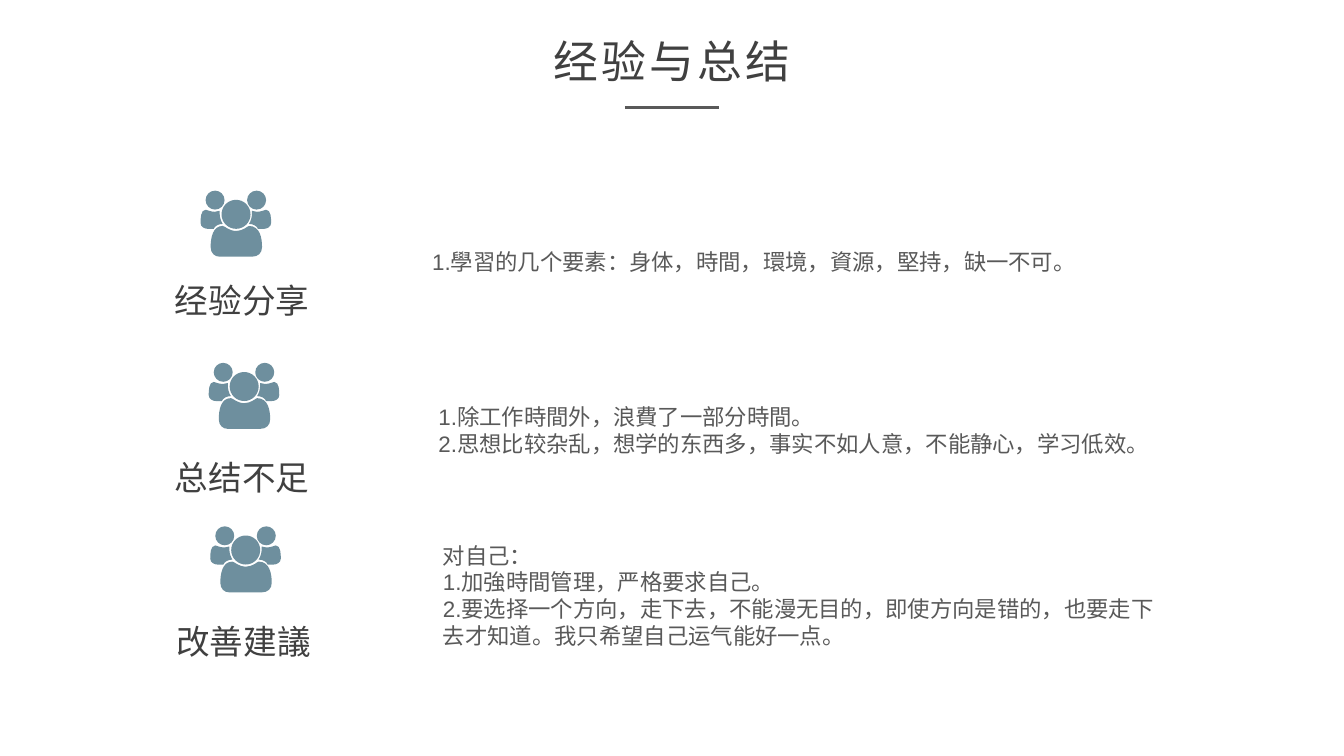
from dataclasses import dataclass

import pptx
import pptx.dml.color
import pptx.enum.shapes
import pptx.enum.text
import pptx.oxml.ns
import pptx.util
from lxml import etree

Pt = pptx.util.Pt
qn = pptx.oxml.ns.qn
Point = tuple[float, float]
Curve = tuple[Point, Point, Point]

COLORS = {"heading": "404040", "body": "595959", "icon": "6E8F9E"}
FONT = "Arial"
ICON_WIDTH = 70
ICON_UNIT = 0.72
PRECISION = 100
ARC = 0.55


@dataclass(frozen=True)
class Box:
    left: float
    top: float
    width: float
    height: float


@dataclass(frozen=True)
class Section:
    label: str
    lines: tuple[str, ...]
    icon: Point
    label_box: Box
    list_box: Box
    placeholder: int


SECTIONS = [
    Section("经验分享", ("1.學習的几个要素：身体，時間，環境，資源，堅持，缺一不可。",),
            (143.3, 136.2), Box(102.7, 196.6, 140.4, 36), Box(301.5, 173.5, 514.8, 26.6), 1),
    Section("总结不足", ("1.除工作時間外，浪費了一部分時間。",
                     "2.思想比较杂乱，想学的东西多，事实不如人意，不能静心，学习低效。"),
            (149.1, 259.2), Box(102.7, 322.6, 140.4, 36), Box(306, 284.1, 537.1, 46), 2),
    Section("改善建議", ("对自己：", "1.加強時間管理，严格要求自己。",
                     "2.要选择一个方向，走下去，不能漫无目的，即使方向是错的，"
                     "也要走下去才知道。我只希望自己运气能好一点。"),
            (150.2, 376), Box(103.7, 440, 140.4, 36), Box(309.2, 383.3, 528, 85), 4),
]

SHOULDER: list[Curve] = [
    ((8, 38), (8, 38), (8, 38)), ((4, 38), (0, 36), (0, 32)),
    ((0, 28), (0, 19), (5, 19)), ((6, 19), (10, 21), (14, 21)),
    ((16, 21), (17, 21), (19, 20)), ((19, 21), (19, 22), (19, 23)),
    ((19, 26), (20, 30), (22, 33)), ((18, 33), (14, 35), (13, 38)),
]
TORSO: list[Curve] = [
    ((19, 65.5), (19, 65.5), (19, 65.5)), ((14, 65.5), (10, 62), (10, 56)),
    ((10, 47), (12, 35), (22, 35)), ((24, 35), (28, 40), (35.5, 40)),
    ((42, 40), (47, 35), (48, 35)), ((59, 35), (61, 47), (61, 56)),
    ((61, 62), (57, 65.5), (51, 65.5)),
]


def rgb(name: str) -> pptx.dml.color.RGBColor:
    return pptx.dml.color.RGBColor.from_string(COLORS[name])


def circle(cx: float, cy: float, radius: float) -> list[Curve]:
    curves = []
    for x, y in ((0, 1), (-1, 0), (0, -1), (1, 0)):
        quarter = ((x - ARC * y, y + ARC * x), (ARC * x - y, x + ARC * y), (-y, x))
        a, b, c = ((cx + radius * u, cy + radius * v) for u, v in quarter)
        curves.append((a, b, c))
    return curves


def transform(curves: list[Curve], flip: bool = False) -> list[Curve]:
    return [tuple((round((ICON_WIDTH - x if flip else x) * PRECISION),
                   round(y * PRECISION)) for x, y in curve) for curve in curves]


def bend_segments(sp: pptx.shapes.autoshape.Shape, curves: list[Curve]) -> None:
    for line, curve in zip(list(sp._element.iter(qn("a:lnTo"))), curves):
        bend = etree.Element(qn("a:cubicBezTo"))
        for x, y in curve:
            etree.SubElement(bend, qn("a:pt"), x=str(x), y=str(y))
        line.getparent().replace(line, bend)


def add_icon(s: pptx.slide.Slide, origin: Point) -> None:
    head = circle(14.4, 9.4, 9.4)
    outlines = [transform(SHOULDER), transform(head), transform(TORSO),
                transform(circle(35.2, 23.5, 14.4)),
                transform(head, flip=True), transform(SHOULDER, flip=True)]
    start = outlines[0][-1][-1]
    builder = s.shapes.build_freeform(*start, scale=Pt(ICON_UNIT) / PRECISION)
    for i, outline in enumerate(outlines):
        if i:
            builder.move_to(*outline[-1][-1])
        builder.add_line_segments([curve[-1] for curve in outline], close=True)
    sp = builder.convert_to_shape(Pt(origin[0]), Pt(origin[1]))
    bend_segments(sp, [curve for outline in outlines for curve in outline])
    sp.shadow.inherit = False
    sp.fill.solid()
    sp.fill.fore_color.rgb = rgb("icon")
    sp.line.fill.background()


def set_text(sp: pptx.shapes.autoshape.Shape, box: Box, lines: tuple[str, ...],
             size: float, color: str, align: pptx.enum.text.PP_ALIGN) -> None:
    sp.left, sp.top = Pt(box.left), Pt(box.top)
    sp.width, sp.height = Pt(box.width), Pt(box.height)
    tf = sp.text_frame
    tf.text = "\n".join(lines)
    tf.word_wrap = True
    tf.auto_size = pptx.enum.text.MSO_AUTO_SIZE.SHAPE_TO_FIT_TEXT
    tf.vertical_anchor = pptx.enum.text.MSO_ANCHOR.TOP
    for p in tf.paragraphs:
        p.alignment = align
        p.space_before = Pt(0)
        for r in p.runs:
            r.font.name = FONT
            r.font.size = Pt(size)
            r.font.bold = False
            r.font.color.rgb = rgb(color)


def clear_bullets(tf: pptx.text.text.TextFrame) -> None:
    for p in tf.paragraphs:
        pPr = p._p.get_or_add_pPr()
        pPr.set("marL", "0")
        pPr.set("indent", "0")
        etree.SubElement(pPr, qn("a:buNone"))


def add_title(s: pptx.slide.Slide) -> None:
    sp = s.shapes.title
    set_text(sp, Box(344.9, 21, 270.7, 43.9), ("经验与总结",), 32, "heading",
             pptx.enum.text.PP_ALIGN.CENTER)
    tf = sp.text_frame
    tf.margin_left = tf.margin_right = Pt(5)
    tf.margin_top = tf.margin_bottom = Pt(3)
    tf.paragraphs[0].runs[0]._r.get_or_add_rPr().set("spc", "220")
    rule = s.shapes.add_connector(pptx.enum.shapes.MSO_CONNECTOR.STRAIGHT,
                                  Pt(446.4), Pt(76.7), Pt(513.4), Pt(76.7))
    rule.line.color.rgb = rgb("body")
    rule.line.width = Pt(2.25)
    etree.SubElement(rule._element.spPr, qn("a:effectLst"))


def add_section(s: pptx.slide.Slide, section: Section) -> None:
    add_icon(s, section.icon)
    label = s.shapes.add_textbox(Pt(0), Pt(0), Pt(0), Pt(0))
    set_text(label, section.label_box, (section.label,), 24, "heading",
             pptx.enum.text.PP_ALIGN.CENTER)
    body = s.placeholders[section.placeholder]
    set_text(body, section.list_box, section.lines, 16, "body",
             pptx.enum.text.PP_ALIGN.LEFT)
    clear_bullets(body.text_frame)


def main() -> None:
    prs = pptx.Presentation()
    prs.slide_width, prs.slide_height = Pt(960), Pt(540)
    s = prs.slides.add_slide(prs.slide_layouts.get_by_name("Comparison"))
    add_title(s)
    for section in SECTIONS:
        add_section(s, section)
    spare = s.placeholders[3]._element
    spare.getparent().remove(spare)
    prs.save("out.pptx")


if __name__ == "__main__":
    main()
